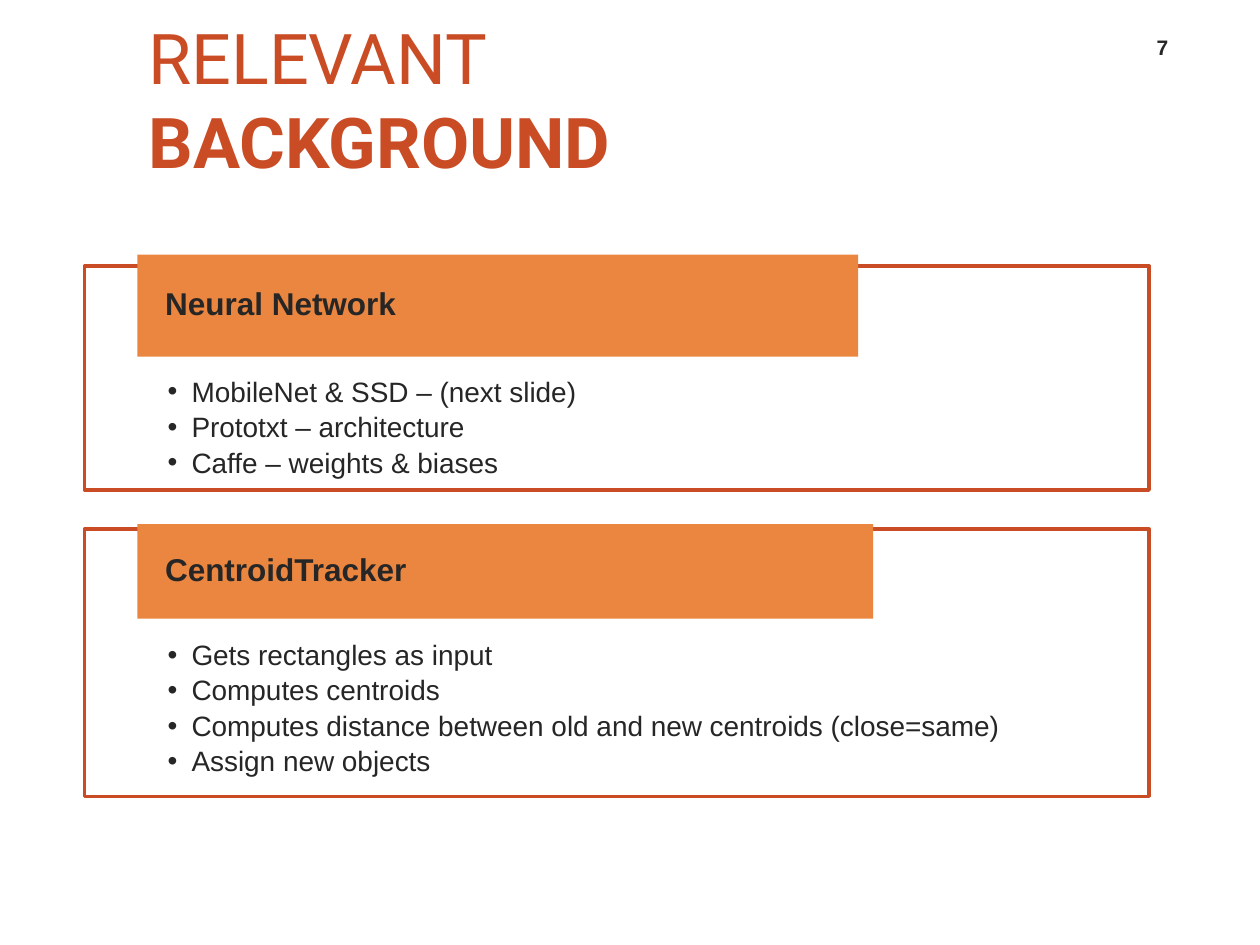
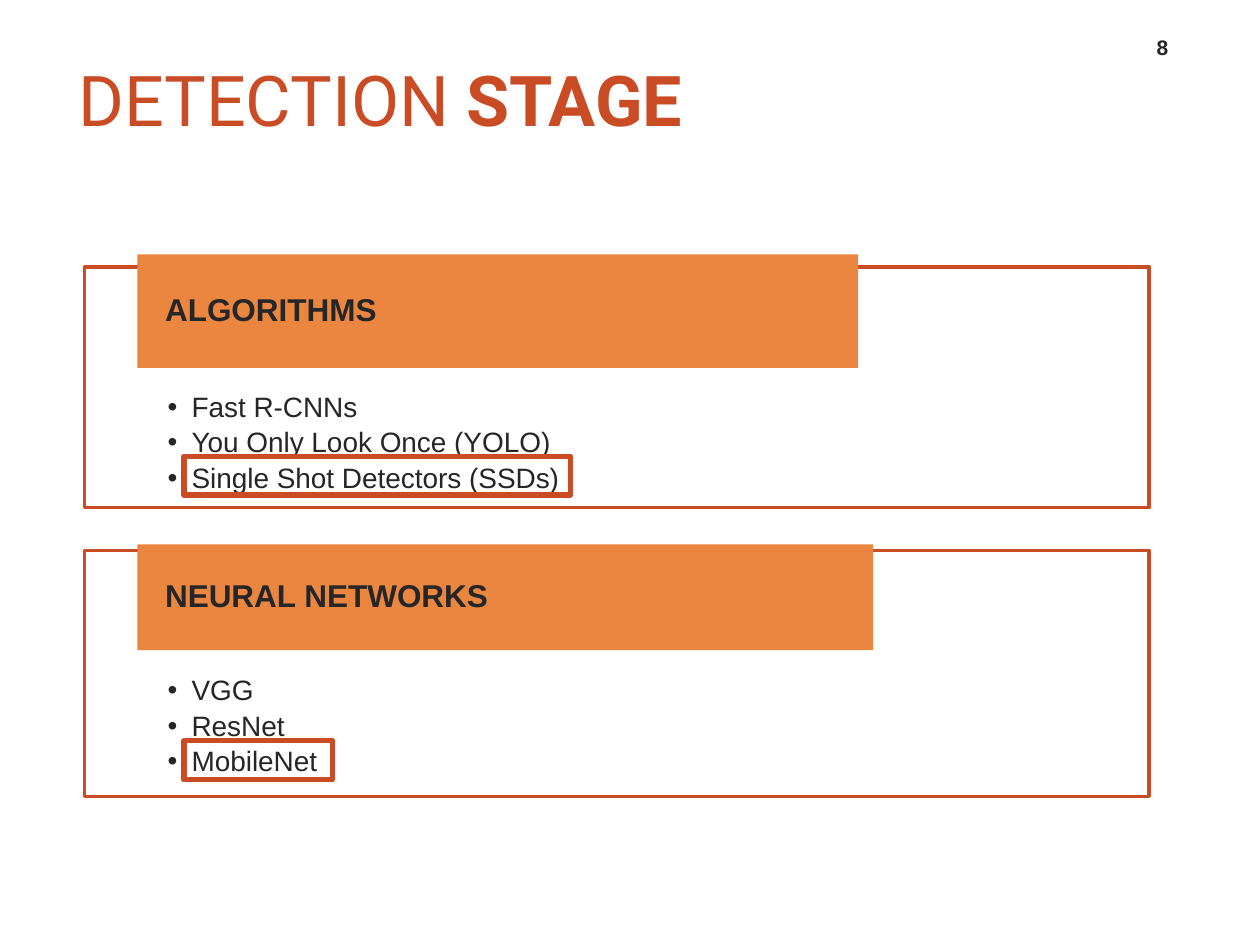
from pptx import Presentation
from pptx import util as u
from pptx.dml.color import RGBColor
from pptx.enum import shapes, text
from pptx.oxml.ns import qn
from lxml import etree

COLOURS = {"accent": "C94C25", "label": "EA8640", "ink": "262626"}
BODY_FONT, TITLE_FONT = "Arial", "Roboto"
FRAME_LEFT, FRAME_WIDTH = 0.67, 8.45
LABEL_LEFT = 1.09
HIGHLIGHT_LEFT, HIGHLIGHT_HEIGHT = 1.46, 0.31


class SlideBuilder:
    def __init__(self):
        self.deck = Presentation()
        self.deck.slide_width = u.Inches(10)
        self.deck.slide_height = u.Inches(7.5)
        self.page = None

    # Shared helpers
    def colour(self, name):
        return RGBColor.from_string(COLOURS[name])

    def set_frame(self, box, insets, anchor):
        frame = box.text_frame
        frame.word_wrap = True
        frame.auto_size = text.MSO_AUTO_SIZE.NONE
        frame.vertical_anchor = anchor
        (frame.margin_left, frame.margin_top,
         frame.margin_right, frame.margin_bottom) = map(u.Inches, insets)
        return frame

    def add_span(self, para, words, size, colour="ink", bold=False, font=BODY_FONT):
        span = para.add_run()
        span.text = words
        span.font.name = font
        span.font.size = u.Pt(size)
        span.font.bold = bold
        span.font.color.rgb = self.colour(colour)

    def indent(self, para, left, first=0, bullet=None):
        properties = para._p.get_or_add_pPr()
        properties.set("marL", str(u.Inches(left)))
        properties.set("indent", str(u.Inches(first)))
        if bullet:
            etree.SubElement(properties, qn("a:buFont")).set("typeface", BODY_FONT)
            etree.SubElement(properties, qn("a:buChar")).set("char", bullet)

    def add_rectangle(self, left, top, width, height, fill=None, line_width=None):
        box = self.page.shapes.add_shape(
            shapes.MSO_SHAPE.RECTANGLE, *map(u.Inches, (left, top, width, height)))
        box.shadow.inherit = False
        if fill:
            box.fill.solid()
            box.fill.fore_color.rgb = self.colour(fill)
        else:
            box.fill.background()
        if line_width:
            box.line.color.rgb = self.colour("accent")
            box.line.width = u.Pt(line_width)
        else:
            box.line.fill.background()
        return box

    # Slide elements
    def add_page(self, number, title_left, light, strong):
        self.page = self.deck.slides.add_slide(self.deck.slide_layouts[5])
        title = self.page.shapes.title
        title.left, title.top = u.Inches(title_left), u.Inches(0.41)
        title.width, title.height = u.Inches(6.54), u.Inches(0.74)
        frame = self.set_frame(title, (0, 0.05, 0, 0.05), text.MSO_ANCHOR.MIDDLE)
        para = frame.paragraphs[0]
        self.indent(para, 0.2)
        para.alignment = text.PP_ALIGN.LEFT
        self.add_span(para, light + " ", 40, "accent", font=TITLE_FONT)
        self.add_span(para, strong, 40, "accent", True, TITLE_FONT)

        box = self.page.shapes.add_textbox(*map(u.Inches, (8.95, 0.19, 0.55, 0.33)))
        frame = self.set_frame(box, (0.1, 0.05, 0.1, 0.05), text.MSO_ANCHOR.BOTTOM)
        para = frame.paragraphs[0]
        para.alignment = text.PP_ALIGN.CENTER
        self.add_span(para, str(number), 12, bold=True)

    def add_panel(self, top, height, text_top, items):
        box = self.add_rectangle(FRAME_LEFT, top, FRAME_WIDTH, height, line_width=2)
        frame = self.set_frame(box, (0.66, text_top, 0.66, 0.12), text.MSO_ANCHOR.TOP)
        for index, item in enumerate(items):
            para = frame.add_paragraph() if index else frame.paragraphs[0]
            self.indent(para, 0.19, -0.19, "•")
            para.alignment = text.PP_ALIGN.LEFT
            para.line_spacing = 0.9
            para.space_after = u.Pt(3)
            self.add_span(para, item, 16)

    def add_label(self, top, width, height, words):
        box = self.add_rectangle(LABEL_LEFT, top, width, height, fill="label")
        frame = self.set_frame(box, (0.22, 0, 0.22, 0), text.MSO_ANCHOR.MIDDLE)
        para = frame.paragraphs[0]
        para.alignment = text.PP_ALIGN.LEFT
        para.line_spacing = 0.9
        self.add_span(para, words, 18, bold=True)

    def add_highlight(self, top, width):
        self.add_rectangle(HIGHLIGHT_LEFT, top, width, HIGHLIGHT_HEIGHT, line_width=3)


def main():
    builder = SlideBuilder()

    # Relevant background
    builder.add_page(7, 0.98, "RELEVANT", "BACKGROUND")
    builder.add_panel(2.11, 1.78, 0.89, [
        "MobileNet & SSD – (next slide)",
        "Prototxt – architecture",
        "Caffe – weights & biases"])
    builder.add_label(2.02, 5.72, 0.81, "Neural Network")
    builder.add_panel(4.2, 2.12, 0.89, [
        "Gets rectangles as input",
        "Computes centroids",
        "Computes distance between old and new centroids (close=same)",
        "Assign new objects"])
    builder.add_label(4.16, 5.84, 0.75, "CentroidTracker")

    # Detection stage
    builder.add_page(8, 0.42, "DETECTION", "STAGE")
    builder.add_panel(2.12, 1.91, 1, [
        "Fast R-CNNs",
        "You Only Look Once (YOLO)",
        "Single Shot Detectors (SSDs)"])
    builder.add_label(2.02, 5.72, 0.9, "ALGORITHMS")
    builder.add_panel(4.37, 1.95, 1, ["VGG", "ResNet", "MobileNet"])
    builder.add_label(4.32, 5.84, 0.84, "NEURAL NETWORKS")

    # Chosen methods
    builder.add_highlight(3.62, 3.07)
    builder.add_highlight(5.88, 1.18)

    builder.deck.save("out.pptx")


if __name__ == "__main__":
    main()
